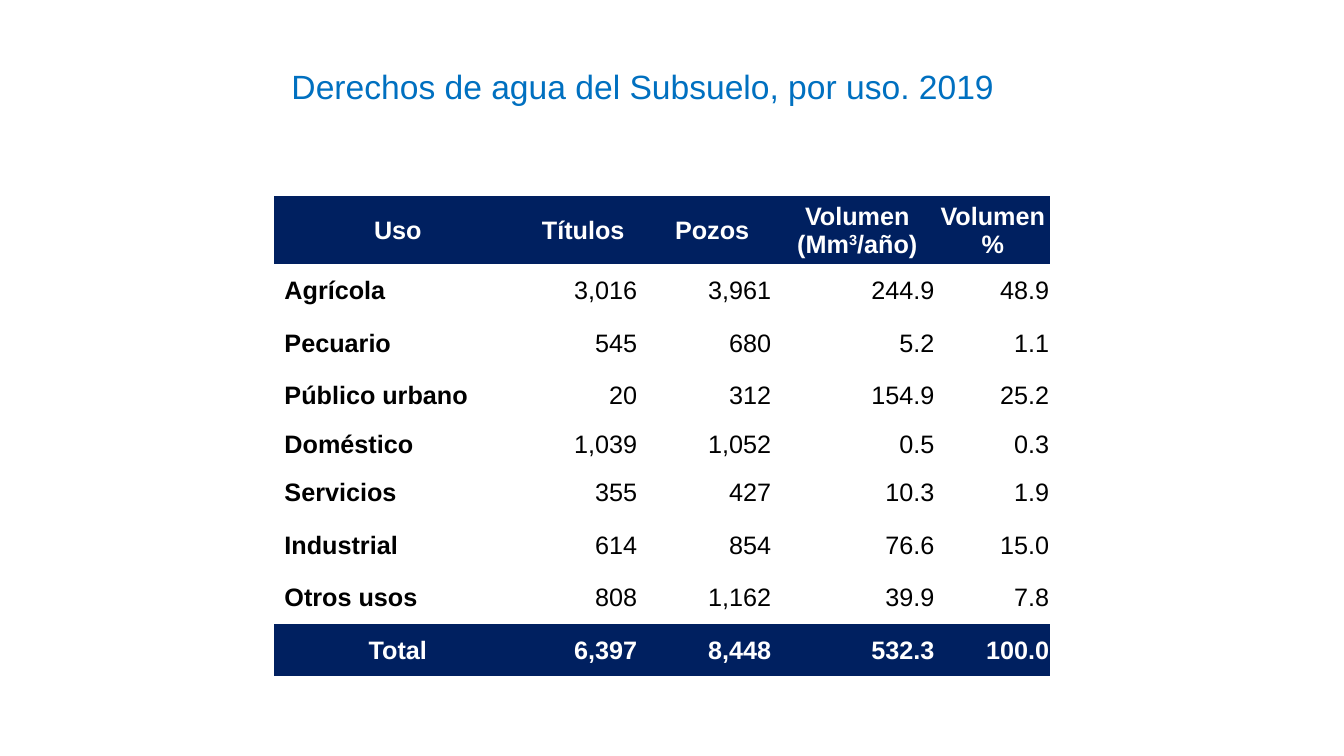
from lxml import etree
from pptx import Presentation
from pptx.dml.color import RGBColor
from pptx.enum.text import MSO_ANCHOR, PP_ALIGN
from pptx.util import Pt

LEFT, CENTER, RIGHT = PP_ALIGN.LEFT, PP_ALIGN.CENTER, PP_ALIGN.RIGHT
MIDDLE = MSO_ANCHOR.MIDDLE
COLORS = {"title": "0070C0", "band": "002060", "light": "FFFFFF", "dark": "000000"}
DRAWING_NS = "http://schemas.openxmlformats.org/drawingml/2006/main"
NO_STYLE = "{2D5ABB26-0587-4C30-8999-92F81FD0307C}"
TITLE_SHADOW = f"""<a:effectLst xmlns:a="{DRAWING_NS}">
  <a:outerShdw blurRad="38100" dist="38100" dir="2700000" algn="tl">
    <a:srgbClr val="000000"><a:alpha val="43000"/></a:srgbClr>
  </a:outerShdw>
</a:effectLst>"""

COLUMN_WIDTHS = [176.4, 88.4, 95.8, 111.6, 82]
ROW_HEIGHTS = [48.5, 37.6, 37.6, 37.6, 31.6, 37.6, 37.6, 37.6, 37.6]
# A tuple holds runs; every second one is superscript.
USES = [
    ["Uso", "Títulos", "Pozos", ("Volumen (Mm", "3", "/año)"), "Volumen %"],
    ["Agrícola", "3,016 ", "3,961 ", "244.9", "48.9"],
    ["Pecuario", "545 ", "680 ", "5.2", "1.1"],
    ["Público urbano", "20 ", "312 ", "154.9", "25.2"],
    ["Doméstico", "1,039 ", "1,052 ", "0.5", "0.3"],
    ["Servicios", "355 ", "427 ", "10.3", "1.9"],
    ["Industrial", "614 ", "854 ", "76.6", "15.0"],
    ["Otros usos", "808 ", "1,162 ", "39.9", "7.8"],
    ["Total", "6,397 ", "8,448 ", "532.3", "100.0"],
]


def add_run(paragraph, text, size, color, bold=False):
    run = paragraph.add_run()
    run.text = text
    run.font.name = "Arial"
    run.font.size = Pt(size)
    run.font.bold = bold
    run.font.color.rgb = RGBColor.from_string(COLORS[color])
    return run


prs = Presentation()
prs.slide_width, prs.slide_height = Pt(960), Pt(540)
slide = prs.slides.add_slide(prs.slide_layouts[6])

title = slide.shapes.add_textbox(Pt(167.8), Pt(43.2), Pt(582.5), Pt(36)).text_frame
title.word_wrap = True
heading = title.paragraphs[0]
heading.alignment = CENTER
heading_run = add_run(heading, "Derechos de agua del Subsuelo, por uso. 2019", 24, "title")
# The effect list must follow the fill and precede the font name.
heading_run._r.get_or_add_rPr().insert(1, etree.fromstring(TITLE_SHADOW))

rights_frame = slide.shapes.add_table(
    len(USES), len(COLUMN_WIDTHS), Pt(196), Pt(140),
    Pt(sum(COLUMN_WIDTHS)), Pt(sum(ROW_HEIGHTS)))
rights = rights_frame.table
rights.first_row = rights.horz_banding = False
rights._tbl.tblPr.find(f"{{{DRAWING_NS}}}tableStyleId").text = NO_STYLE
for column, width in zip(rights.columns, COLUMN_WIDTHS):
    column.width = Pt(width)
for row, height in zip(rights.rows, ROW_HEIGHTS):
    row.height = Pt(height)

last = len(USES) - 1
for r, values in enumerate(USES):
    banded = r in (0, last)
    for c, value in enumerate(values):
        cell = rights.cell(r, c)
        cell.vertical_anchor = MIDDLE
        cell.margin_left = cell.margin_right = cell.margin_top = Pt(0.75)
        cell.margin_bottom = Pt(0)
        if banded:
            cell.fill.solid()
            cell.fill.fore_color.rgb = RGBColor.from_string(COLORS["band"])
        else:
            cell.fill.background()

        paragraph = cell.text_frame.paragraphs[0]
        if r == 0 or (banded and c == 0):
            paragraph.alignment = CENTER
        elif c == 0:
            paragraph.alignment = LEFT
            paragraph._p.get_or_add_pPr().set("marL", str(Pt(6.5)))
        else:
            paragraph.alignment = RIGHT

        pieces = value if isinstance(value, tuple) else (value,)
        for i, piece in enumerate(pieces):
            run = add_run(paragraph, piece, 18, "light" if banded else "dark",
                          bold=banded or c == 0)
            if i % 2:
                run._r.get_or_add_rPr().set("baseline", "30000")

prs.save("out.pptx")
